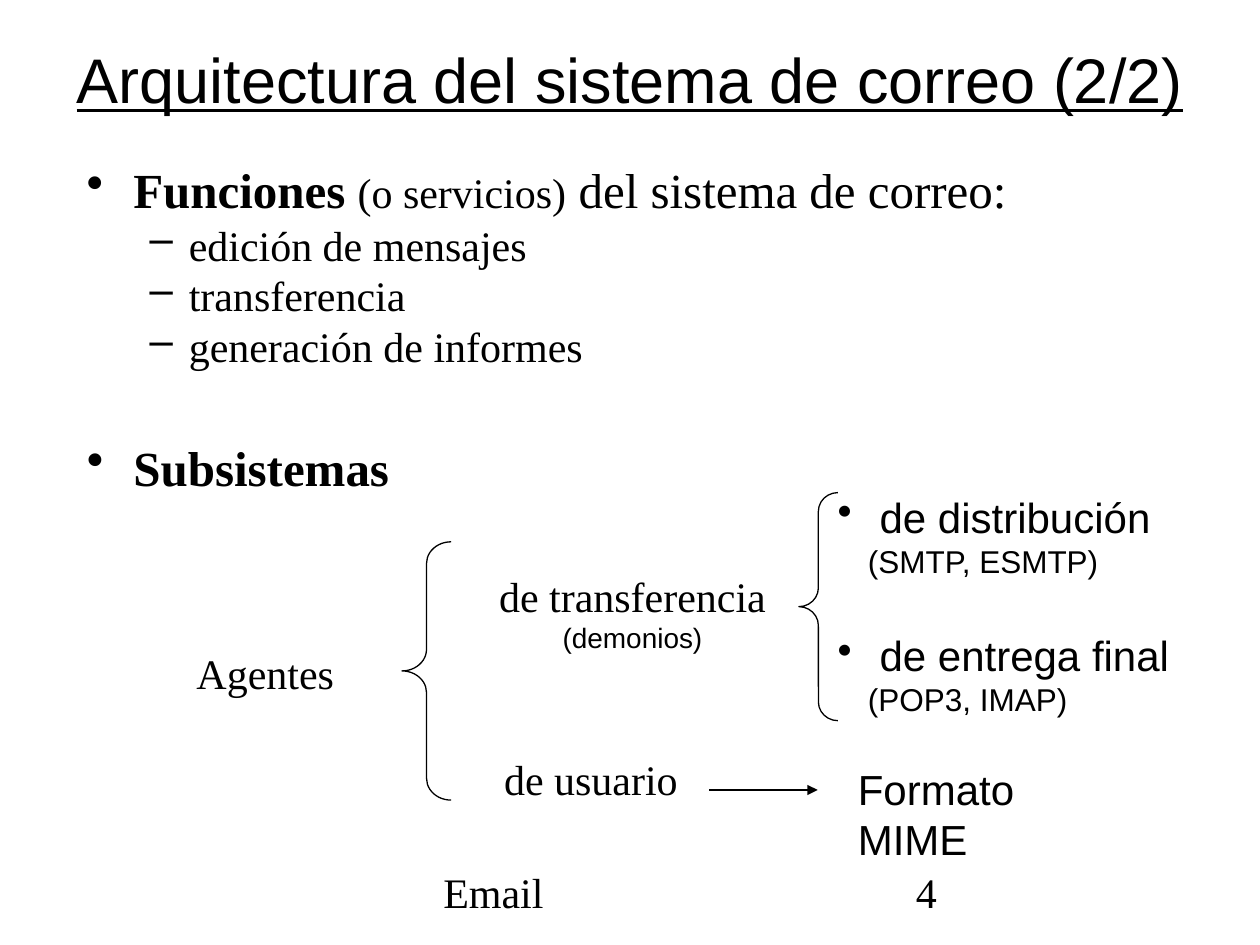
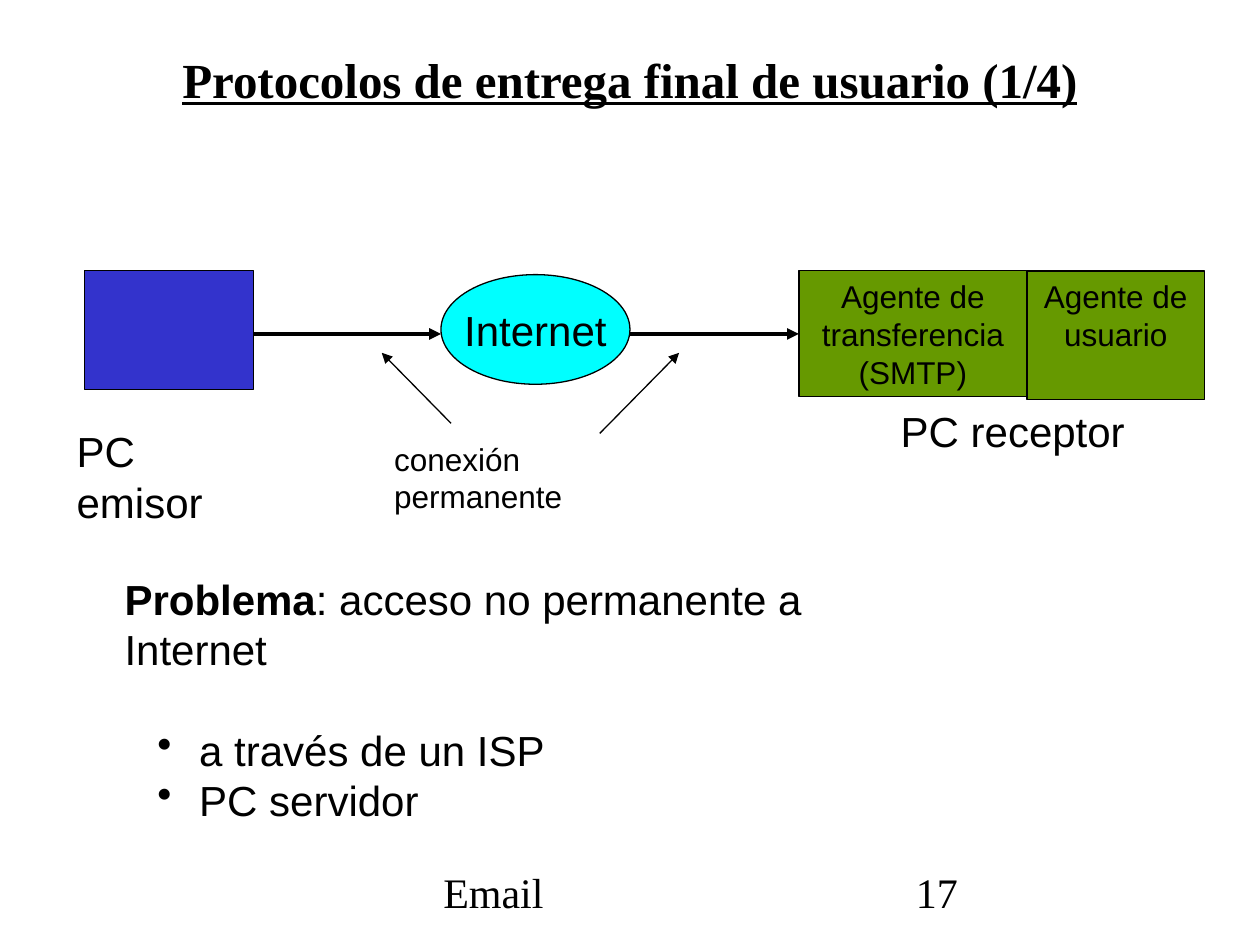
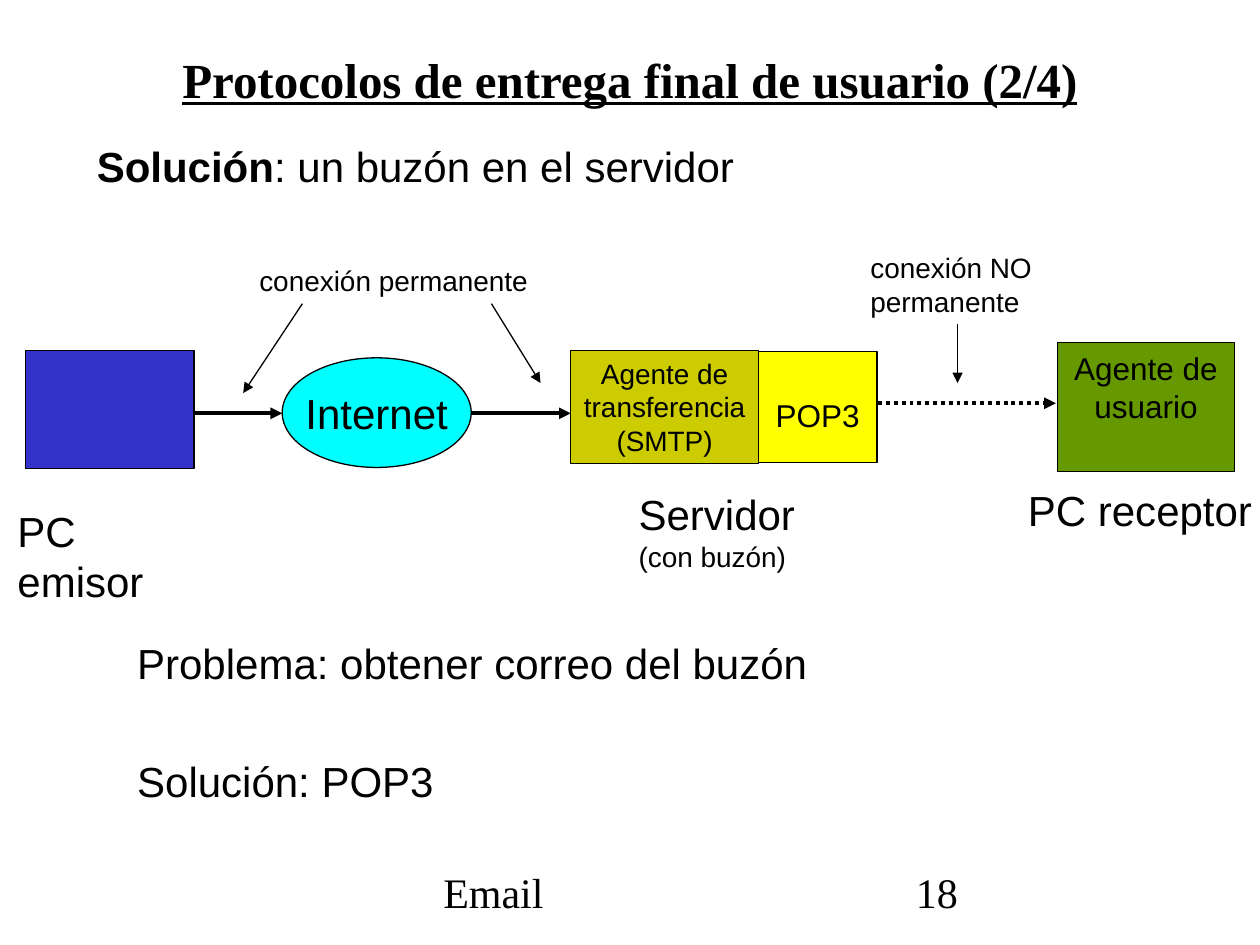
from dataclasses import dataclass

from lxml.etree import SubElement
from pptx import Presentation
from pptx.dml.color import RGBColor
from pptx.enum.dml import MSO_LINE
from pptx.enum.shapes import MSO_CONNECTOR, MSO_SHAPE
from pptx.enum.text import MSO_ANCHOR as ANCHOR, MSO_AUTO_SIZE as AUTO_SIZE, PP_ALIGN as ALIGN
from pptx.oxml.ns import qn
from pptx.util import Inches, Pt

SANS, SERIF = "Arial", "Times New Roman"
BLACK, BLUE, CYAN, GREEN = "000000", "3333CC", "00FFFF", "669900"
OLIVE, YELLOW = "CCCC00", "FFFF00"
THIN, THICK = 0.75, 2.25
BULLET_WIDTH = 0.24


def color(value):
    return RGBColor.from_string(value)


@dataclass
class Run:
    text: str
    size: float = 24
    font: str = SANS
    bold: bool = False
    underline: bool = False


@dataclass
class Line:
    """One paragraph: its runs, bullet and spacing."""
    runs: list
    bullet: str = ""
    indent: float = 0
    hanging: float = BULLET_WIDTH
    before: float = 0
    spacing: float = 1


def plain(text, size=24, font=SANS, **options):
    return Line([Run(text, size, font)], **options)


class Deck:
    def __init__(self):
        self.presentation = Presentation()
        self.presentation.slide_width = Inches(10)
        self.presentation.slide_height = Inches(7.5)
        self.slide = None

    def new_slide(self, title, number, **title_style):
        layout = self.presentation.slide_layouts[6]
        self.slide = self.presentation.slides.add_slide(layout)
        style = dict(size=28, font=SERIF, bold=True) | title_style
        self.text(0.2, 0, 9.6, 1.25, [Line([Run(title, underline=True, **style)])],
                  align=ALIGN.CENTER, anchor=ANCHOR.MIDDLE, wrap=True)
        for left, width, text in ((3.42, 3.16, "Email"), (7.17, 2.08, str(number))):
            self.text(left, 6.83, width, 0.5, [plain(text, font=SERIF)], wrap=True)

    def fill_text(self, frame, lines, align, anchor, wrap):
        frame.word_wrap = wrap
        frame.vertical_anchor = anchor
        for index, line in enumerate(lines):
            paragraph = frame.add_paragraph() if index else frame.paragraphs[0]
            paragraph.alignment = align
            if line.before:
                paragraph.space_before = Pt(line.before)
            if line.spacing != 1:
                paragraph.line_spacing = line.spacing
            if line.bullet:
                self.add_bullet(paragraph, line)
            for item in line.runs:
                run = paragraph.add_run()
                run.text = item.text
                run.font.name = item.font
                run.font.size = Pt(item.size)
                run.font.bold = item.bold
                run.font.underline = item.underline
                run.font.color.rgb = color(BLACK)

    def add_bullet(self, paragraph, line):
        properties = paragraph._p.get_or_add_pPr()
        properties.set("marL", str(Inches(line.indent)))
        properties.set("indent", str(-Inches(line.hanging)))
        SubElement(properties, qn("a:buChar")).set("char", line.bullet)

    def text(self, left, top, width, height, lines,
             align=ALIGN.LEFT, anchor=ANCHOR.TOP, wrap=False):
        box = self.slide.shapes.add_textbox(
            Inches(left), Inches(top), Inches(width), Inches(height))
        self.fill_text(box.text_frame, lines, align, anchor, wrap)
        box.text_frame.auto_size = AUTO_SIZE.NONE if wrap else AUTO_SIZE.SHAPE_TO_FIT_TEXT

    def shape(self, kind, left, top, width, height, fill=None, lines=(),
              anchor=ANCHOR.TOP, wrap=True, top_margin=0.05):
        shape = self.slide.shapes.add_shape(
            kind, Inches(left), Inches(top), Inches(width), Inches(height))
        shape.shadow.inherit = False
        if fill:
            shape.fill.solid()
            shape.fill.fore_color.rgb = color(fill)
        else:
            shape.fill.background()
        shape.line.color.rgb = color(BLACK)
        shape.line.width = Pt(THIN)
        shape.text_frame.margin_top = Inches(top_margin)
        self.fill_text(shape.text_frame, lines, ALIGN.CENTER, anchor, wrap)
        return shape

    def box(self, left, top, width, height, fill, text="", size=18, **options):
        lines = [plain(text, size)] if text else []
        self.shape(MSO_SHAPE.RECTANGLE, left, top, width, height, fill, lines, **options)

    def brace(self, left, top, width, height, curve):
        brace = self.shape(MSO_SHAPE.LEFT_BRACE, left, top, width, height)
        brace.adjustments[0] = curve

    def arrow(self, start, end, width=THIN, dash=None):
        points = [Inches(value) for value in (*start, *end)]
        arrow = self.slide.shapes.add_connector(MSO_CONNECTOR.STRAIGHT, *points)
        arrow.line.color.rgb = color(BLACK)
        arrow.line.width = Pt(width)
        if dash:
            arrow.line.dash_style = dash
        SubElement(arrow.line._get_or_add_ln(), qn("a:tailEnd")).set("type", "triangle")
        SubElement(arrow._element.spPr, qn("a:effectLst"))

    # Parts of the mail route diagrams
    def sender(self, left, top):
        self.box(left, top, 1.34, 0.94, BLUE)
        self.text(left - 0.16, top + 1.18, 1.75, 0.5, [plain("PC emisor")])

    def internet(self, left, top):
        self.shape(MSO_SHAPE.OVAL, left, top, 1.5, 0.87, CYAN, [plain("Internet")],
                   anchor=ANCHOR.MIDDLE, wrap=False)

    def receiver(self, left, top, label_left, label_top):
        self.box(left, top, 1.41, 1.02, GREEN, "Agente de usuario")
        self.text(label_left, label_top, 1.98, 0.5, [plain("PC receptor")])


def architecture_slide(deck):
    deck.new_slide("Arquitectura del sistema de correo (2/2)", 4,
                   size=36, font=SANS, bold=False)
    heading = dict(bullet="•", indent=0.37, hanging=0.37, before=7, spacing=0.8)
    item = dict(bullet="–", indent=0.81, hanging=0.31, before=6, spacing=0.8)

    # Functions and subsystems
    functions = ["edición de mensajes", "transferencia", "generación de informes"]
    deck.text(0.59, 1.31, 9, 1.89, [
        Line([Run("Funciones ", 28, SERIF, True), Run("(o servicios)", 24, SERIF),
              Run(" del sistema de correo:", 28, SERIF)], **heading),
        *[plain(name, font=SERIF, **item) for name in functions]], wrap=True)
    deck.text(0.59, 3.51, 2.75, 0.71,
              [Line([Run("Subsistemas", 28, SERIF, True)], **heading)], wrap=True)

    # Tree of agents
    deck.text(3.86, 4.48, 2.32, 0.77,
              [plain("de transferencia", font=SERIF), plain("(demonios)", 16)],
              align=ALIGN.CENTER)
    for left, top, width, name in ((1.46, 5.09, 1.29, "Agentes"),
                                   (3.9, 5.93, 1.58, "de usuario")):
        deck.text(left, top, width, 0.5, [plain(name, font=SERIF)], align=ALIGN.CENTER)
    deck.brace(3.19, 4.3, 0.39, 2.05, 0.44)
    deck.brace(6.34, 3.91, 0.31, 1.81, 0.48)

    # Protocols and format
    protocols = [(" de distribución ", "(SMTP, ESMTP)", 0),
                 (" de entrega final ", "(POP3, IMAP)", 28.8)]
    deck.text(6.55, 3.85, 3.25, 1.9, [
        Line([Run(name), Run(detail, 18)], "•", BULLET_WIDTH, before=gap)
        for name, detail, gap in protocols], wrap=True)
    deck.arrow((5.63, 6.27), (6.49, 6.27))
    deck.text(6.71, 6.01, 2.4, 0.5, [plain("Formato MIME")])


def direct_delivery_slide(deck):
    deck.new_slide("Protocolos de entrega final de usuario (1/4)", 17)

    # Route from sender to receiver
    deck.sender(0.67, 2.15)
    deck.box(6.34, 2.15, 1.81, 1, GREEN, "Agente de transferencia (SMTP)")
    deck.receiver(8.15, 2.15, 7.05, 3.17)
    deck.internet(3.5, 2.18)
    for start, end in ((2.01, 3.5), (5, 6.34)):
        deck.arrow((start, 2.65), (end, 2.65), THICK)

    # Connection note
    deck.text(3.03, 3.44, 2.6, 0.4, [plain("conexión permanente", 18)])
    deck.arrow((3.58, 3.36), (3.03, 2.8))
    deck.arrow((4.76, 3.44), (5.39, 2.8))

    # Problem
    deck.text(0.89, 4.5, 6.79, 1.7, [
        Line([Run("Problema", bold=True), Run(": acceso no permanente a Internet")]),
        plain(" a través de un ISP", bullet="•", indent=0.5, before=28.8),
        plain(" PC servidor", bullet="•", indent=0.5)])


def mailbox_slide(deck):
    deck.new_slide("Protocolos de entrega final de usuario (2/4)", 18)
    deck.text(0.67, 1.07, 5.26, 0.5,
              [Line([Run("Solución", bold=True), Run(": un buzón en el servidor")])])

    # Route from sender to server
    deck.sender(0.2, 2.78)
    deck.internet(2.24, 2.84)
    for start, end in ((1.53, 2.24), (3.74, 4.53)):
        deck.arrow((start, 3.28), (end, 3.28), THICK)
    deck.box(4.53, 2.78, 1.49, 0.9, OLIVE, "Agente de transferencia (SMTP)", 16)
    deck.box(6.02, 2.79, 0.94, 0.88, YELLOW, "POP3", top_margin=0.35)
    deck.text(4.97, 3.83, 1.44, 0.77, [plain("Servidor"), plain("(con buzón)", 16)])

    # Route from server to receiver
    deck.receiver(8.39, 2.72, 8.06, 3.8)
    deck.arrow((6.97, 3.2), (8.38, 3.2), THICK, MSO_LINE.ROUND_DOT)

    # Connection notes
    deck.text(1.96, 2.04, 2.33, 0.37, [plain("conexión permanente", 16)])
    deck.arrow((2.4, 2.41), (1.93, 3.12))
    deck.arrow((3.9, 2.41), (4.29, 3.04))
    deck.text(6.81, 1.94, 1.54, 0.64,
              [plain("conexión NO", 16), plain("permanente", 16)])
    deck.arrow((7.6, 2.57), (7.6, 3.04))

    # Problem and solution
    deck.text(0.99, 5.01, 5.52, 0.5, [plain("Problema: obtener correo del buzón")])
    deck.text(0.99, 5.95, 2.55, 0.5, [plain("Solución: POP3")])


def main():
    deck = Deck()
    architecture_slide(deck)
    direct_delivery_slide(deck)
    mailbox_slide(deck)
    deck.presentation.save("out.pptx")


if __name__ == "__main__":
    main()
